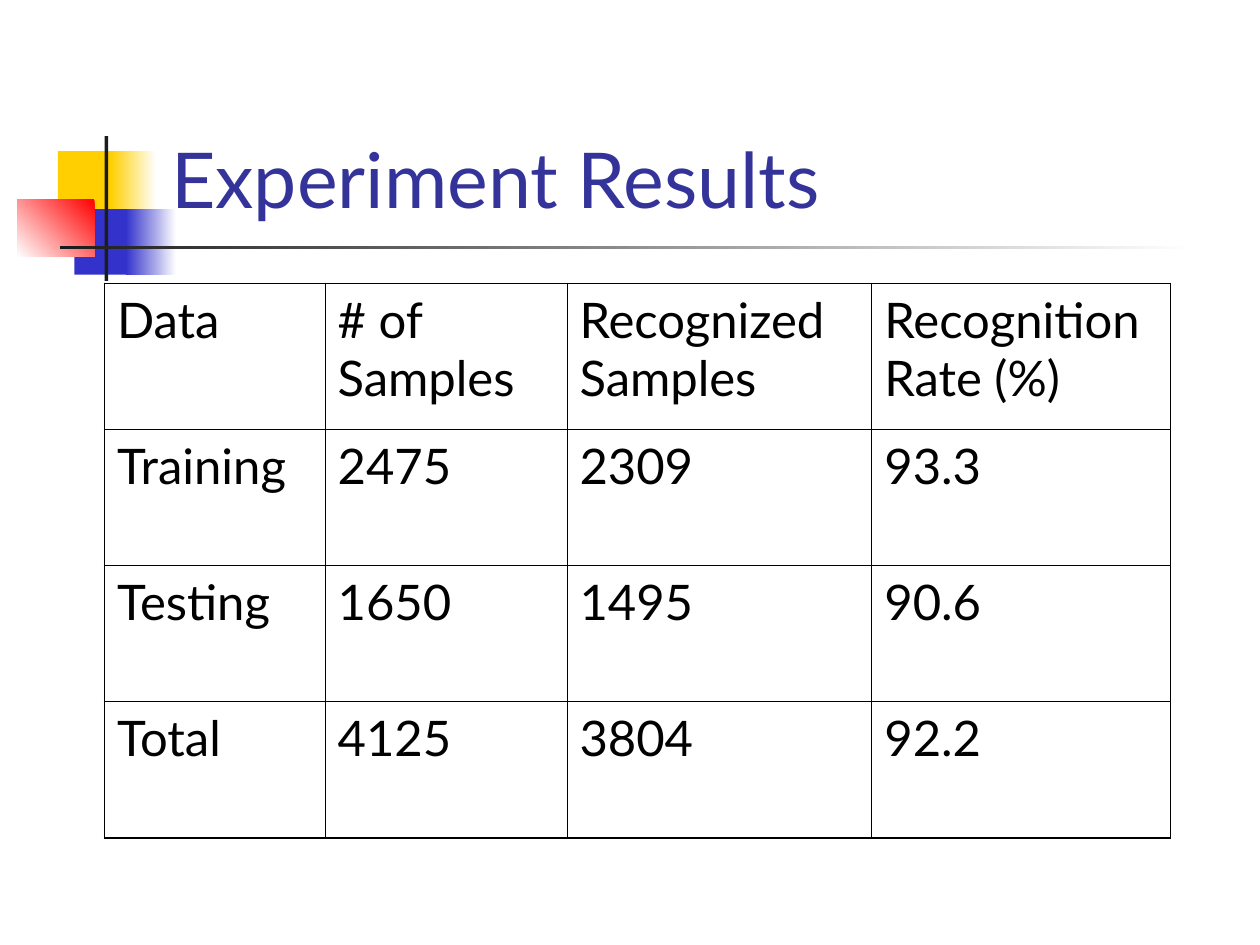
from lxml import etree
from pptx import Presentation
from pptx.dml.color import RGBColor
from pptx.enum.shapes import MSO_SHAPE
from pptx.enum.text import MSO_ANCHOR
from pptx.oxml.ns import qn
from pptx.util import Inches, Pt

RECTANGLE = MSO_SHAPE.RECTANGLE
BOTTOM = MSO_ANCHOR.BOTTOM
FONT = "Lato"
COLORS = {
    "white": "FFFFFF",
    "black": "000000",
    "yellow": "FFCF01",
    "blue": "3333CC",
    "red": "FF0000",
    "charcoal": "1C1C1C",
    "title": "333399",
}
OUTER_LINE, INNER_LINE = Pt(1.08), Pt(0.45)


def add_text(frame, text, size, color):
    span = frame.paragraphs[0].add_run()
    span.text = text
    span.font.name = FONT
    span.font.size = Pt(size)
    span.font.color.rgb = RGBColor.from_string(COLORS[color])


def add_border(cell, side, width):
    """Draw one cell edge; side is the XML tag, such as a:lnL."""
    line = etree.SubElement(cell._tc.get_or_add_tcPr(), qn(side), w=str(width))
    fill = etree.SubElement(line, qn("a:solidFill"))
    etree.SubElement(fill, qn("a:srgbClr"), val=COLORS["black"])


deck = Presentation()
deck.slide_width, deck.slide_height = Inches(10), Inches(7.5)
page = deck.slides.add_slide(deck.slide_layouts[6])

# Corner ornament: left, top, width, height, colours, gradient angle
ornament = [
    (0.46, 1.2, 0.48, 0.52, ["yellow"], None),
    (0.88, 1.2, 0.36, 0.52, ["white", "yellow"], 180),
    (0.59, 1.66, 0.46, 0.52, ["blue"], None),
    (1, 1.66, 0.4, 0.52, ["white", "blue"], 180),
    (0.14, 1.58, 0.61, 0.46, ["red", "white"], 225),
    (0.83, 1.08, 0.03, 1.15, ["charcoal"], None),
    (0.48, 1.95, 9, 0.03, ["white", "charcoal"], 180),
]
for left, top, width, height, colors, angle in ornament:
    block = page.shapes.add_shape(
        RECTANGLE, Inches(left), Inches(top), Inches(width), Inches(height))
    block.shadow.inherit = False
    block.line.fill.background()
    if angle is None:
        block.fill.solid()
        block.fill.fore_color.rgb = RGBColor.from_string(COLORS[colors[0]])
    else:
        block.fill.gradient()
        block.fill.gradient_angle = angle
        for stop, color in zip(block.fill.gradient_stops, colors):
            stop.color.rgb = RGBColor.from_string(COLORS[color])

title = page.shapes.add_textbox(Inches(1.26), Inches(0.23), Inches(8.52), Inches(1.6))
title.text_frame.word_wrap = True
title.text_frame.vertical_anchor = BOTTOM
add_text(title.text_frame, "Experiment Results", 44, "title")

results = [
    ["Data", "# of Samples", "Recognized Samples", "Recognition Rate (%)"],
    ["Training", "2475", "2309", "93.3"],
    ["Testing", "1650", "1495", "90.6"],
    ["Total", "4125", "3804", "92.2"],
]
column_widths = [1.75, 1.92, 2.42, 2.37]
row_heights = [1.16, 1.08, 1.08, 1.08]
last_row, last_column = len(row_heights) - 1, len(column_widths) - 1
table = page.shapes.add_table(
    len(row_heights), len(column_widths), Inches(0.83), Inches(2.25),
    Inches(sum(column_widths)), Inches(sum(row_heights))).table
table.first_row = table.horz_banding = False
for column, width in zip(table.columns, column_widths):
    column.width = Inches(width)
for row, height in zip(table.rows, row_heights):
    row.height = Inches(height)

for r, values in enumerate(results):
    for c, value in enumerate(values):
        cell = table.cell(r, c)
        add_text(cell.text_frame, value, 28, "black")
        edges = {
            "a:lnL": c == 0,
            "a:lnR": c == last_column,
            "a:lnT": r == 0,
            "a:lnB": r == last_row,
        }
        for side, is_outer in edges.items():
            add_border(cell, side, OUTER_LINE if is_outer else INNER_LINE)
        cell.fill.background()

deck.save("out.pptx")
